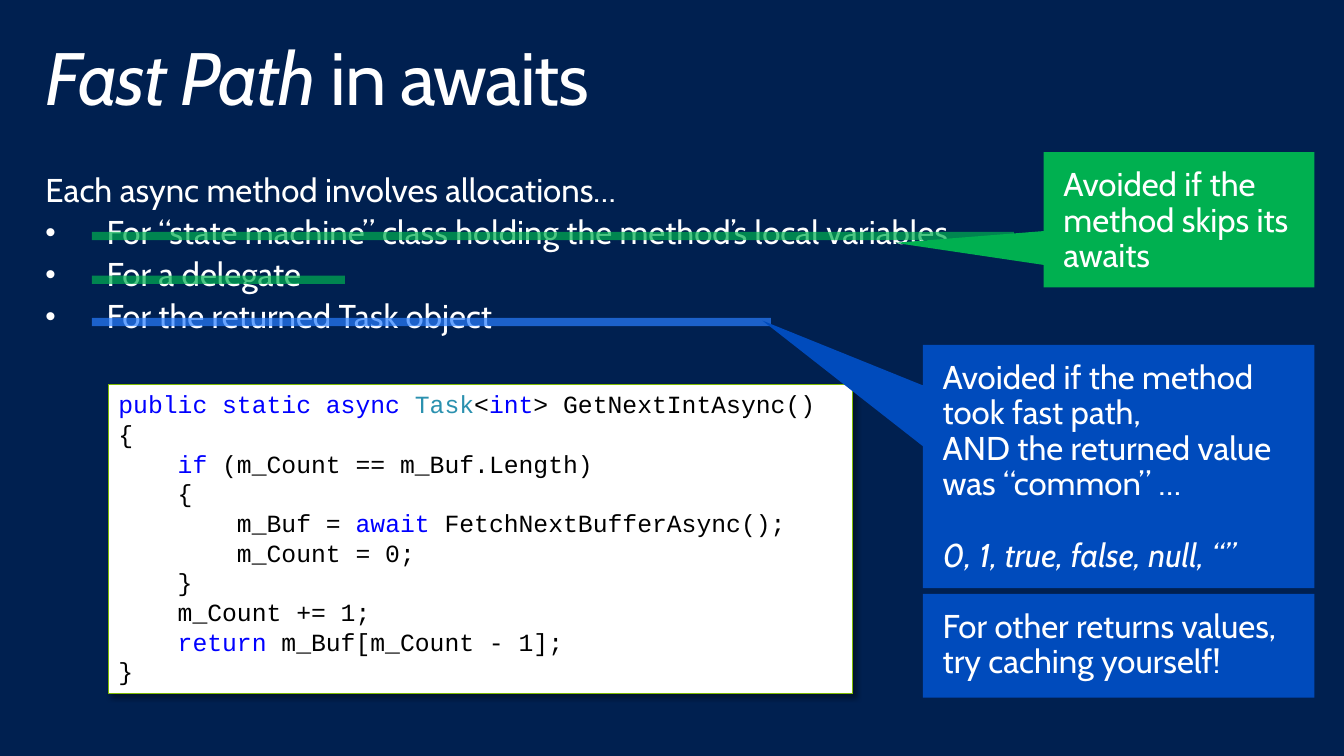
from lxml import etree
from pptx import Presentation
from pptx import util as u
from pptx.dml import color
from pptx.enum import shapes, text
from pptx.oxml import ns

COLOURS = {
    "navy": "002050", "white": "FFFFFF", "black": "000000", "green": "00B050",
    "blue": "004BBC", "sky": "287EFF", "lime": "7FBA00",
    "keyword": "0000FF", "type": "2B91AF",
}
HEADING_INSETS = (11.5, 7.2)
CALLOUT_INSETS = (14.4, 11.5)
CODE_INSETS = (7.2, 3.6)

ALLOCATIONS = [
    "For “state machine” class holding the method’s local variables",
    "For a delegate",
    "For the returned Task object",
]
CODE = [
    [("public static async ", "keyword"), ("Task", "type"), ("<", "black"),
     ("int", "keyword"), ("> GetNextIntAsync()", "black")],
    [("{", "black")],
    [("    ", "black"), ("if", "keyword"), (" (m_Count == m_Buf.Length)", "black")],
    [("    {", "black")],
    [("        m_Buf = ", "black"), ("await ", "keyword"),
     ("FetchNextBufferAsync();", "black")],
    [("        m_Count = 0;", "black")],
    [("    }", "black")],
    [("    m_Count += 1;", "black")],
    [("    ", "black"), ("return ", "keyword"), ("m_Buf[m_Count - 1];", "black")],
    [("}", "black")],
]
STRIKES = [(172, 738.7, "green"), (203.8, 251.3, "green"), (234.7, 561.6, "sky")]


def assign(target, **values):
    """Set each named attribute on the target."""
    for name, value in values.items():
        setattr(target, name, value)


def child(parent, tag, **attributes):
    """Append a drawing element with the given attributes."""
    return etree.SubElement(parent, ns.qn(tag), attributes)


def rgb(name):
    """Return the palette colour of that name."""
    return color.RGBColor.from_string(COLOURS[name])


class SlideBuilder:
    """Hold the text style and the current slide."""

    def __init__(self, deck):
        """Add a title and content slide on a navy background."""
        self.font, self.size = "Cabin", 24
        self.page = deck.slides.add_slide(deck.slide_layouts[1])
        self.page.background.fill.solid()
        self.page.background.fill.fore_color.rgb = rgb("navy")

    def frame(self, box, insets):
        """Prepare the text frame of a box."""
        side, edge = map(u.Pt, insets)
        assign(box.text_frame, word_wrap=True, auto_size=text.MSO_AUTO_SIZE.NONE,
               vertical_anchor=text.MSO_ANCHOR.TOP, margin_left=side,
               margin_right=side, margin_top=edge, margin_bottom=edge)
        return box.text_frame

    def place(self, box, left, top, width, height):
        """Move and size a box."""
        assign(box, left=u.Pt(left), top=u.Pt(top),
               width=u.Pt(width), height=u.Pt(height))

    def paragraph(self, frame, index, spacing=0.9, before=0):
        """Return a left-aligned paragraph, adding it when needed."""
        para = frame.add_paragraph() if index else frame.paragraphs[0]
        assign(para, alignment=text.PP_ALIGN.LEFT, line_spacing=spacing,
               space_before=u.Pt(before), space_after=u.Pt(0))
        return para

    def span(self, para, words, colour="white", **values):
        """Add a styled run, breaking the line at each newline."""
        style = {"name": self.font, "size": u.Pt(self.size)} | values
        for number, line in enumerate(words.split("\n")):
            if number:
                para.add_line_break()
            span = para.add_run()
            span.text = line
            assign(span.font, **style)
            span.font.color.rgb = rgb(colour)

    def title(self, emphasis, rest):
        """Fill the title with an italic opening."""
        box = self.page.shapes.title
        self.place(box, 21.6, 23, 936, 72)
        para = self.paragraph(self.frame(box, HEADING_INSETS), 0)
        self.span(para, emphasis, size=u.Pt(54), italic=True)
        self.span(para, rest, size=u.Pt(54), italic=False)
        for span in para.runs:
            span.font._element.set("spc", "-100")

    def bullets(self, lead, items):
        """Fill the body with a lead line and a bulleted list."""
        box = self.page.placeholders[1]
        self.place(box, 21.6, 119.5, 936, 136.8)
        frame = self.frame(box, HEADING_INSETS)
        for index, words in enumerate([lead, *items]):
            para = self.paragraph(frame, index, before=4.8 if index else 0)
            indent = u.Pt(44.6) if index else 0
            settings = para._p.get_or_add_pPr()
            settings.set("marL", str(indent))
            settings.set("indent", str(-indent))
            if index:
                child(settings, "a:buSzPct", val="90000")
                child(settings, "a:buFont", typeface="Arial")
                child(settings, "a:buChar", char="•")
            else:
                child(settings, "a:buNone")
            self.span(para, words)

    def panel(self, place, fill, kind=shapes.MSO_SHAPE.RECTANGLE, pointer=()):
        """Add a flat filled shape, with a pointer for a callout."""
        box = self.page.shapes.add_shape(kind, *map(u.Pt, place))
        box.shadow.inherit = False
        box.fill.solid()
        box.fill.fore_color.rgb = rgb(fill)
        box.line.fill.background()
        for index, value in enumerate(pointer):
            box.adjustments[index] = value
        return box

    def note(self, place, fill, words, pointer=(), examples=""):
        """Add a remark, with italic examples set apart below it."""
        kind = (shapes.MSO_SHAPE.RECTANGULAR_CALLOUT if pointer
                else shapes.MSO_SHAPE.RECTANGLE)
        frame = self.frame(self.panel(place, fill, kind, pointer), CALLOUT_INSETS)
        self.span(self.paragraph(frame, 0), words)
        if examples:
            self.span(self.paragraph(frame, 1, before=26), examples, italic=True)

    def code(self, place, lines):
        """Add a code listing on a white panel with a soft shadow."""
        box = self.panel(place, "white")
        box.line.color.rgb = rgb("lime")
        box.line.width = u.Pt(0.85)
        effects = box._element.spPr.find(ns.qn("a:effectLst"))
        shadow = child(effects, "a:outerShdw", blurRad=str(u.Pt(4)),
                       dist=str(u.Pt(3)), dir="2700000", algn="tl", rotWithShape="0")
        shade = child(shadow, "a:srgbClr", val=COLOURS["black"])
        child(shade, "a:alpha", val="40000")
        frame = self.frame(box, CODE_INSETS)
        for index, line in enumerate(lines):
            para = self.paragraph(frame, index, spacing=1.0)
            for words, colour in line:
                self.span(para, words, colour, name="Courier New", size=u.Pt(18))

    def strike(self, top, right, colour):
        """Draw a translucent line through a list item."""
        line = self.page.shapes.add_connector(
            shapes.MSO_CONNECTOR.STRAIGHT, *map(u.Pt, (67, top, right, top)))
        line.line.width = u.Pt(6)
        line.line.color.rgb = rgb(colour)
        child(line._element.spPr.find(".//" + ns.qn("a:srgbClr")), "a:alpha", val="70000")
        child(line._element.spPr, "a:effectLst")


def main():
    """Build and save the deck."""
    deck = Presentation()
    assign(deck, slide_width=u.Pt(979.2), slide_height=u.Pt(550.8))
    slide = SlideBuilder(deck)
    slide.title("Fast Path", " in awaits")
    slide.bullets("Each async method involves allocations…", ALLOCATIONS)
    slide.code((79.2, 280, 542.2, 225.4), CODE)
    for strike in STRIKES:
        slide.strike(*strike)
    slide.note((760.4, 110.9, 197.2, 98.6), "green",
               "Avoided if the method skips its awaits", (-1.05, 0.17))
    slide.note((672.4, 251.3, 285.2, 177.2), "blue",
               "Avoided if the method took fast path,\n"
               "AND the returned value was “common” …",
               (-0.91, -0.6), "0, 1, true, false, null, “”")
    slide.note((672.4, 432.7, 285.2, 75.6), "blue",
               "For other returns values, try caching yourself!")
    deck.save("out.pptx")


if __name__ == "__main__":
    main()
